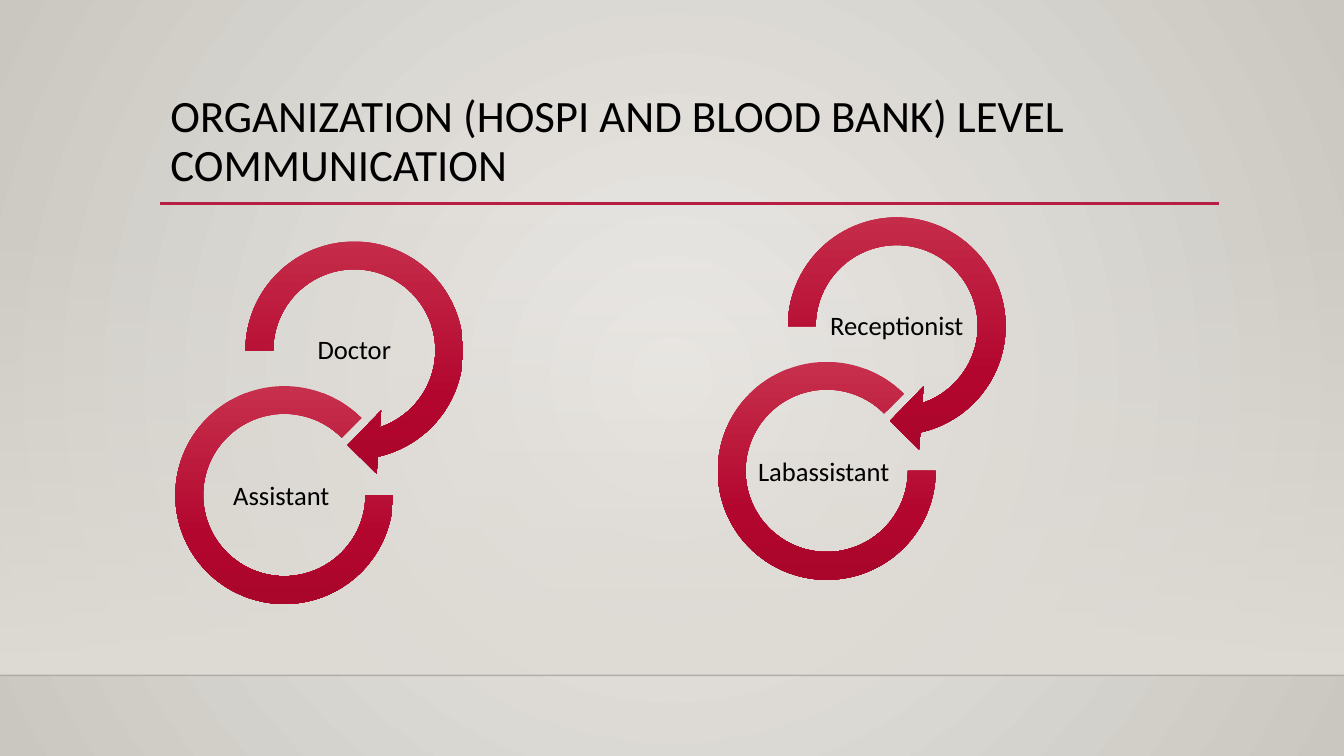
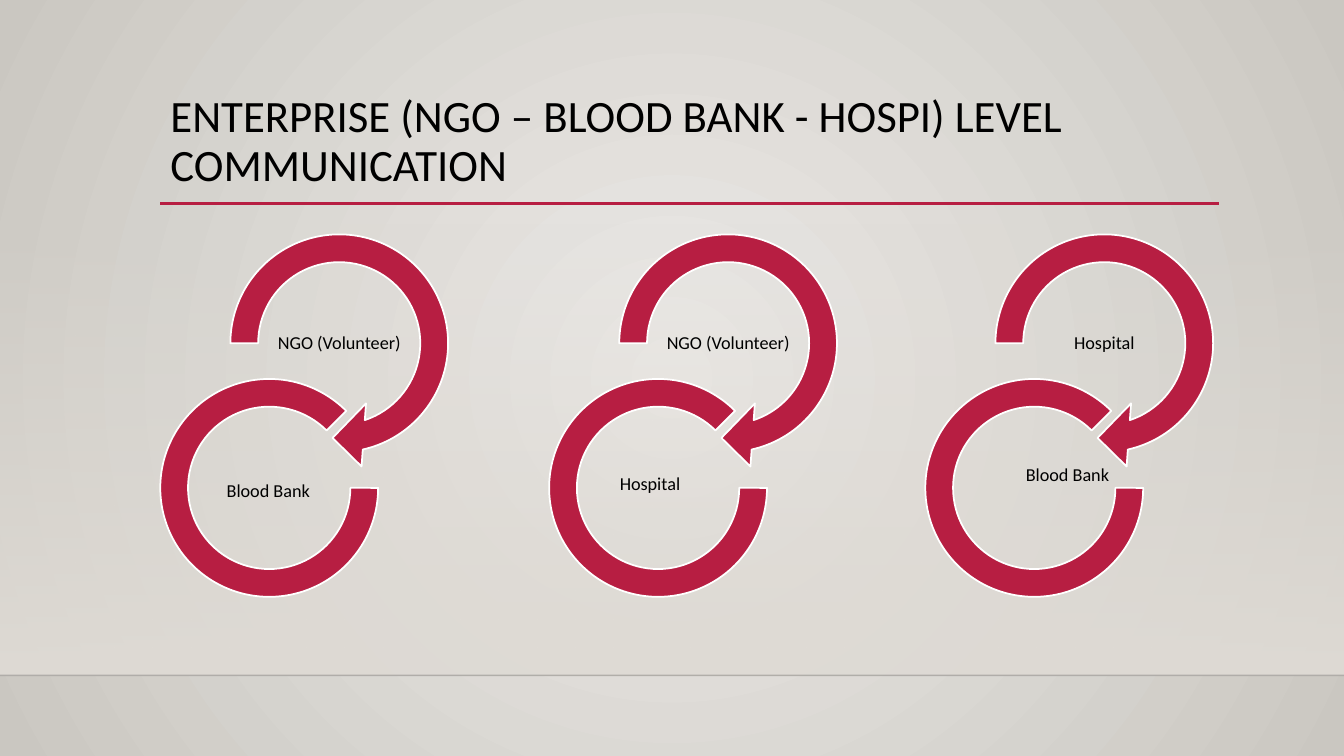
"""Build two slides of interlocking communication cycles."""
import pptx
import pptx.dml.color
import pptx.enum.shapes
import pptx.enum.text
import pptx.oxml
import pptx.oxml.ns
import pptx.util

Cm = pptx.util.Cm
Pt = pptx.util.Pt
RGB = pptx.dml.color.RGBColor
Shape = pptx.enum.shapes.MSO_SHAPE
Anchor = pptx.enum.text.MSO_ANCHOR
Align = pptx.enum.text.PP_ALIGN
qn = pptx.oxml.ns.qn

BLACK = RGB(0x00, 0x00, 0x00)
WHITE = RGB(0xFF, 0xFF, 0xFF)
EDGE = RGB(0x00, 0x00, 0x01)
CRIMSON = RGB(0xB7, 0x1E, 0x42)
SAND = RGB(0xDF, 0xDB, 0xD5)
BACKDROP_STOPS = [(0, RGB(0xEC, 0xEA, 0xE7), 100), (100, RGB(0xCA, 0xC7, 0xC1), 100)]
BAND_STOPS = [(0, SAND, 0), (100, SAND, 100)]
RING_STOPS = [(0, RGB(0xC7, 0x30, 0x4C), 100), (69, RGB(0xB3, 0x06, 0x2F), 100),
              (100, RGB(0xAA, 0x06, 0x2C), 100)]
DOWNWARD = '<a:lin ang="5400000" scaled="0"/>'
RADIAL = ('<a:path path="circle"><a:fillToRect l="50000" t="50000" '
          'r="50000" b="50000"/></a:path>')

WIDTH, HEIGHT = 33.87, 19.05
LEFT, RIGHT = 4.04, 30.73
RULE_TOP, BAND_TOP, BAND_BOTTOM = 5.13, 5.61, 17.02
ARROW_SIZE, ARC_SIZE = 6.38, 5.49
ARC_SHIFT = (-1.32, 4.09)
ARROW_LABEL_SHIFT = (1.41, 2.31)
LABEL_SIZE = (3.56, 1.78)
ARROW_ADJUSTMENTS = (0.1098, 11.42, 45, 108, 0.125)
ARC_ADJUSTMENTS = (0, 189, 0.1274)


def xml(text):
    """Parse a fragment of drawing XML."""
    namespace = pptx.oxml.ns.nsdecls("a")
    head, mark, tail = text.partition(">")
    slash = "/" if head.endswith("/") else ""
    return pptx.oxml.parse_xml(f"{head.rstrip('/')} {namespace}{slash}{mark}{tail}")


def apply(target, values):
    """Set every attribute named in a dict."""
    for name, value in values.items():
        setattr(target, name, value)


def gradient(owner, fill, stops, direction):
    """Give a fill its gradient stops and direction."""
    fill.gradient()
    grad = owner.element.find(".//" + qn("a:gradFill"))
    for child in list(grad):
        grad.remove(child)
    marks = "".join(
        f'<a:gs pos="{place * 1000}"><a:srgbClr val="{color}">'
        f'<a:alpha val="{alpha * 1000}"/></a:srgbClr></a:gs>'
        for place, color, alpha in stops)
    grad.append(xml(f"<a:gsLst>{marks}</a:gsLst>"))
    grad.append(xml(direction))


class Deck:
    """Hold the presentation, its style and the current page."""

    title_frame = {"word_wrap": True, "vertical_anchor": Anchor.TOP,
                   "auto_size": pptx.enum.text.MSO_AUTO_SIZE.NONE}
    label_frame = {"word_wrap": True, "vertical_anchor": Anchor.MIDDLE,
                   **{f"margin_{side}": Cm(0.03)
                      for side in ("left", "right", "top", "bottom")}}

    def __init__(self):
        """Open a wide deck with a radial backdrop."""
        self.deck = pptx.Presentation()
        apply(self.deck, {"slide_width": Cm(WIDTH), "slide_height": Cm(HEIGHT)})
        master = self.deck.slide_master
        gradient(master, master.background.fill, BACKDROP_STOPS, RADIAL)

    def page(self, title):
        """Start a page with its band, rules and title."""
        self.slide = self.deck.slides.add_slide(self.deck.slide_layouts[5])
        heading = self.slide.shapes.title
        apply(heading, {"left": Cm(LEFT), "top": Cm(2.24),
                        "width": Cm(26.67), "height": Cm(2.92)})
        apply(heading.text_frame, self.title_frame)
        self.text(heading.text_frame, title, 32, Align.LEFT)
        band = self.shape(Shape.RECTANGLE, (0, BAND_TOP),
                          (WIDTH, BAND_BOTTOM - BAND_TOP))
        gradient(band, band.fill, BAND_STOPS, DOWNWARD)
        edge = self.rule(0, WIDTH, BAND_BOTTOM, EDGE, 1)
        edge.element.find(".//" + qn("a:srgbClr")).append(xml('<a:alpha val="20000"/>'))
        self.rule(LEFT, RIGHT, RULE_TOP, CRIMSON, 2.5)

    def text(self, frame, words, size, alignment):
        """Write one formatted paragraph."""
        para = frame.paragraphs[0]
        apply(para, {"alignment": alignment, "line_spacing": 0.9})
        span = para.add_run()
        span.text = words
        apply(span.font, {"name": "Calibri", "size": Pt(size)})
        span.font.color.rgb = BLACK

    def rule(self, start, end, top, color, weight):
        """Draw a horizontal line."""
        line = self.slide.shapes.add_connector(
            pptx.enum.shapes.MSO_CONNECTOR.STRAIGHT,
            Cm(start), Cm(top), Cm(end), Cm(top))
        line.line.color.rgb = color
        line.line.width = Pt(weight)
        line.element.spPr.append(xml("<a:effectLst/>"))
        return line

    def shape(self, kind, place, size, adjustments=()):
        """Draw a preset shape without line or shadow."""
        shape = self.slide.shapes.add_shape(kind, *map(Cm, place + size))
        shape.shadow.inherit = False
        shape.line.fill.background()
        for index, value in enumerate(adjustments):
            shape.adjustments[index] = value
        return shape

    def ring(self, kind, place, size, adjustments, glossy):
        """Draw one part of a cycle, glossy or flat with a white outline."""
        ring = self.shape(kind, place, (size, size), adjustments)
        if glossy:
            gradient(ring, ring.fill, RING_STOPS, DOWNWARD)
        else:
            ring.fill.solid()
            ring.fill.fore_color.rgb = CRIMSON
            ring.line.color.rgb = WHITE
            ring.line.width = Pt(1.25)

    def label(self, words, origin, shift, size):
        """Place a centred label relative to its ring."""
        place = (origin[0] + shift[0], origin[1] + shift[1])
        box = self.slide.shapes.add_textbox(*map(Cm, place + LABEL_SIZE))
        apply(box.text_frame, self.label_frame)
        self.text(box.text_frame, words, size, Align.CENTER)

    def cycle(self, place, upper, lower, lower_shift, size, glossy):
        """Draw an arrow leading into an arc, each with its label."""
        arc = (place[0] + ARC_SHIFT[0], place[1] + ARC_SHIFT[1])
        self.ring(Shape.CIRCULAR_ARROW, place, ARROW_SIZE, ARROW_ADJUSTMENTS, glossy)
        self.label(upper, place, ARROW_LABEL_SHIFT, size)
        self.ring(Shape.BLOCK_ARC, arc, ARC_SIZE, ARC_ADJUSTMENTS, glossy)
        self.label(lower, arc, lower_shift, size)


PAGES = [
    ("ORGANIZATION (HOSPI AND BLOOD BANK) LEVEL COMMUNICATION", 19, True, [
        ((5.74, 5.64), "Doctor", "Assistant", (0.89, 1.91)),
        ((19.41, 5.03), "Receptionist", "Labassistant", (0.89, 1.91)),
    ]),
    ("ENTERPRISE (NGO – BLOOD BANK - HOSPI) LEVEL COMMUNICATION", 13, False, [
        ((5.36, 5.46), "NGO (Volunteer)", "Blood Bank", (0.94, 1.96)),
        ((15.16, 5.46), "NGO (Volunteer)", "Hospital", (0.76, 1.78)),
        ((24.64, 5.46), "Hospital", "Blood Bank", (1.8, 1.55)),
    ]),
]

show = Deck()
for title, size, glossy, cycles in PAGES:
    show.page(title)
    for place, upper, lower, lower_shift in cycles:
        show.cycle(place, upper, lower, lower_shift, size, glossy)
show.deck.save("out.pptx")
